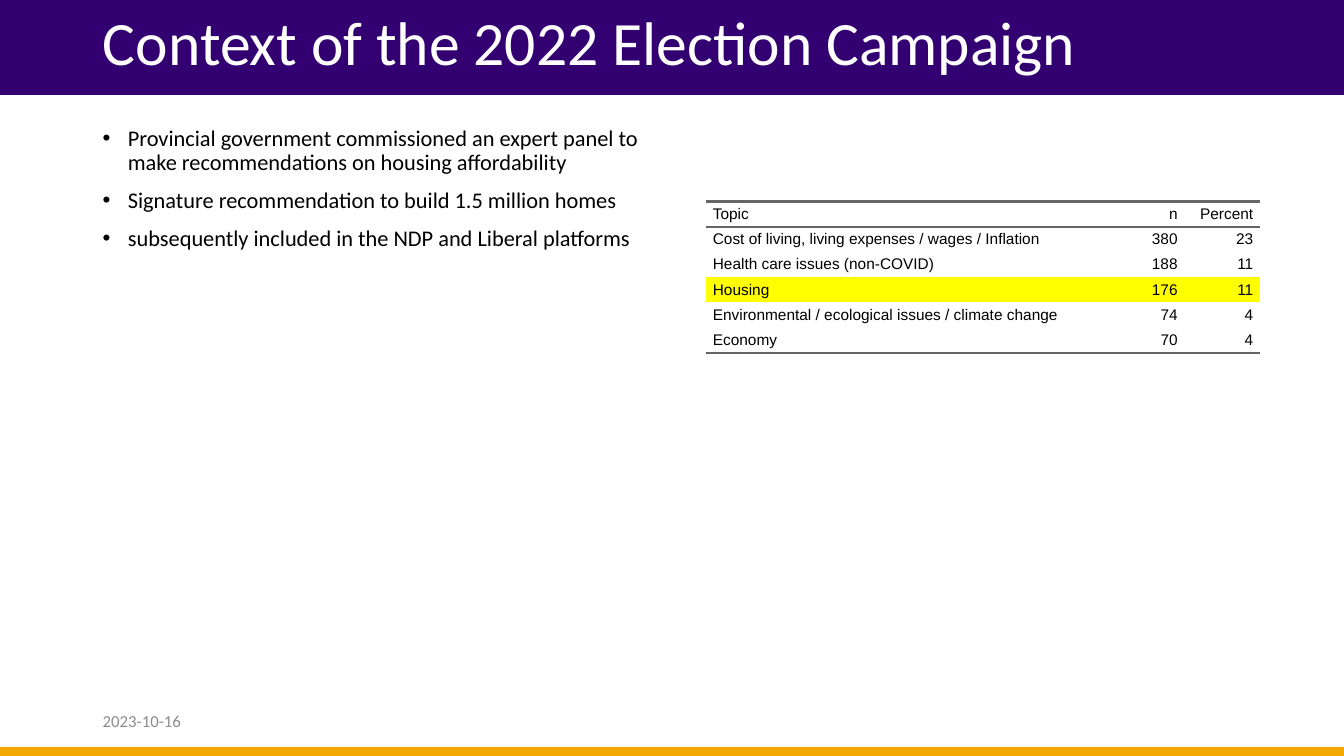
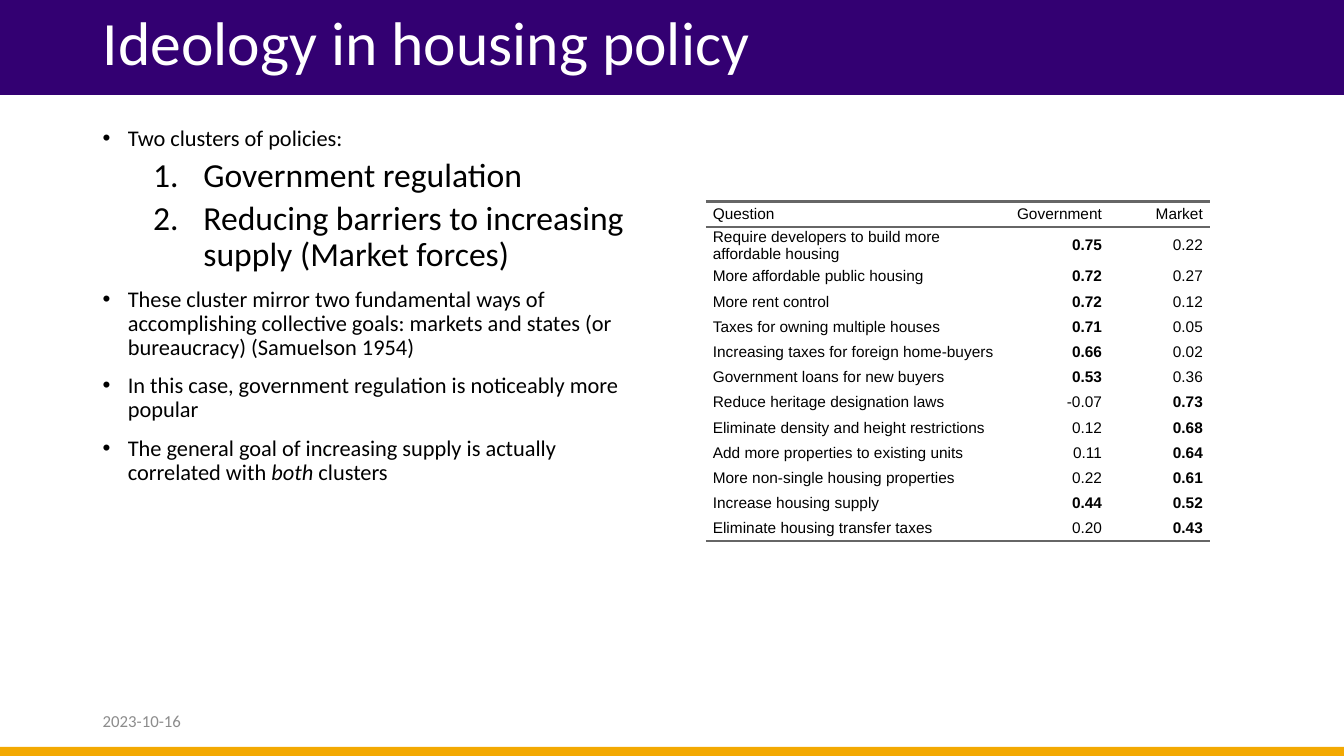
from lxml.etree import SubElement
from pptx import Presentation
from pptx.dml.color import RGBColor
from pptx.enum.shapes import MSO_SHAPE as Shape
from pptx.enum.text import MSO_ANCHOR as Anchor, MSO_AUTO_SIZE as AutoSize, PP_ALIGN as Align
from pptx.oxml import parse_xml
from pptx.oxml.ns import nsdecls, qn
from pptx.util import Inches, Pt

PURPLE = RGBColor(0x33, 0x00, 0x72)
GOLD = RGBColor(0xF3, 0xA9, 0x02)
WHITE = RGBColor(0xFF, 0xFF, 0xFF)
BLACK = RGBColor(0x00, 0x00, 0x00)
GRAY = RGBColor(0x8C, 0x8C, 0x8C)
RULE_GRAY = RGBColor(0x66, 0x66, 0x66)
YELLOW = RGBColor(0xFF, 0xFF, 0x00)

TITLE_ONLY = 5
PLAIN_TABLE = "{2D5ABB26-0587-4C30-8999-92F81FD0307C}"
MARGIN = Inches(0.92)


class LectureDeck:
    body_font = "Calibri"
    table_font = "Arial"
    date = "2023-10-16"

    def __init__(self):
        self.deck = Presentation()
        self.deck.slide_width = Inches(13.33)
        self.deck.slide_height = Inches(7.5)
        self.page = None

    def start_page(self, title):
        self.page = self.deck.slides.add_slide(self.deck.slide_layouts[TITLE_ONLY])
        self.band(0, 0.94, PURPLE, outlined=True)
        self.band(7.41, 0.09, GOLD)
        self.title(title)
        self.footer()

    def style(self, para, size, color, name=body_font):
        para.font.name = name
        para.font.size = Pt(size)
        para.font.color.rgb = color

    def band(self, top, height, color, outlined=False):
        band = self.page.shapes.add_shape(
            Shape.RECTANGLE, 0, Inches(top), self.deck.slide_width, Inches(height))
        band.shadow.inherit = False
        band.fill.solid()
        band.fill.fore_color.rgb = color
        if outlined:
            band.line.color.rgb = color
            band.line.width = Pt(1)
        else:
            band.line.fill.background()

    def title(self, text):
        box = self.page.shapes.title
        box.left, box.top = MARGIN, Inches(-0.11)
        box.width, box.height = Inches(11.5), Inches(1.12)
        self.page.shapes._spTree.append(box._element)
        frame = box.text_frame
        frame.text = text
        frame.auto_size = AutoSize.NONE
        frame.vertical_anchor = Anchor.MIDDLE
        para = frame.paragraphs[0]
        para.alignment = Align.LEFT
        para.line_spacing = 0.9
        self.style(para, 44, WHITE)

    def text_box(self, top, width, height):
        box = self.page.shapes.add_textbox(MARGIN, Inches(top), Inches(width), Inches(height))
        box.text_frame.word_wrap = True
        return box.text_frame

    def footer(self):
        frame = self.text_box(6.95, 3, 0.4)
        frame.vertical_anchor = Anchor.MIDDLE
        frame.text = self.date
        self.style(frame.paragraphs[0], 12, GRAY)

    def body(self, items):
        frame = self.text_box(1.21, 5.67, 5.55)
        for index, item in enumerate(items):
            para = frame.paragraphs[0] if index == 0 else frame.add_paragraph()
            numbered = item.startswith("#")
            for part, text in enumerate(item.lstrip("#").split("*")):
                span = para.add_run()
                span.text = text
                if part % 2:
                    span.font.italic = True
            self.mark(para, numbered)
            para.line_spacing = 0.9
            para.space_before = Pt(5 if numbered else 10)
            self.style(para, 24 if numbered else 16, BLACK)

    def mark(self, para, numbered):
        props = para._p.get_or_add_pPr()
        left, hanging = (1, 0.5) if numbered else (0.25, 0.25)
        props.set("marL", str(Inches(left)))
        props.set("indent", str(-Inches(hanging)))
        if numbered:
            para.level = 1
            SubElement(props, qn("a:buFont"), typeface="+mj-lt")
            SubElement(props, qn("a:buAutoNum"), type="arabicPeriod")
        else:
            SubElement(props, qn("a:buFont"), typeface="Arial")
            SubElement(props, qn("a:buChar"), char="•")

    def table(self, widths, rows, highlight=None, bold_from=None):
        row_height = Inches(0.25)
        frame = self.page.shapes.add_table(
            len(rows), len(widths), Inches(7), Inches(2),
            Inches(sum(widths)), row_height * len(rows))
        table = frame.table
        table.first_row = table.horz_banding = False
        table._tbl.tblPr.find(qn("a:tableStyleId")).text = PLAIN_TABLE
        for column, width in zip(table.columns, widths):
            column.width = Inches(width)
        for r, row in enumerate(rows):
            table.rows[r].height = row_height
            sides = {0: "TB", len(rows) - 1: "B"}.get(r, "")
            for c, text in enumerate(row):
                cell = table.cell(r, c)
                self.cell(cell, text, c > 0, row[0] == highlight, sides)
                if bold_from and r and c:
                    cell.text_frame.paragraphs[0].font.bold = float(text) >= bold_from

    def cell(self, cell, text, is_number, highlighted, sides):
        cell.margin_left = cell.margin_right = Inches(0.07)
        cell.margin_top = cell.margin_bottom = 0
        cell.vertical_anchor = Anchor.MIDDLE
        cell.text = text
        para = cell.text_frame.paragraphs[0]
        para.alignment = Align.RIGHT if is_number else Align.LEFT
        self.style(para, 11, BLACK, self.table_font)
        if highlighted:
            cell.fill.solid()
            cell.fill.fore_color.rgb = YELLOW
        else:
            cell.fill.background()
        for place, side in enumerate(sides):
            rule = parse_xml(
                f'<a:ln{side} {nsdecls("a")} w="{Pt(2)}"><a:solidFill>'
                f'<a:srgbClr val="{RULE_GRAY}"/></a:solidFill></a:ln{side}>')
            cell._tc.get_or_add_tcPr().insert(place, rule)


def main():
    lecture = LectureDeck()

    lecture.start_page("Context of the 2022 Election Campaign")
    lecture.body([
        "Provincial government commissioned an expert panel to make recommendations "
        "on housing affordability",
        "Signature recommendation to build 1.5 million homes",
        "subsequently included in the NDP and Liberal platforms",
    ])
    lecture.table([4, 0.75, 0.75], [
        ("Topic", "n", "Percent"),
        ("Cost of living, living expenses / wages / Inflation", "380", "23"),
        ("Health care issues (non-COVID)", "188", "11"),
        ("Housing", "176", "11"),
        ("Environmental / ecological issues / climate change", "74", "4"),
        ("Economy", "70", "4"),
    ], highlight="Housing")

    lecture.start_page("Ideology in housing policy")
    lecture.body([
        "Two clusters of policies:",
        "#Government regulation",
        "#Reducing barriers to increasing supply (Market forces)",
        "These cluster mirror two fundamental ways of accomplishing collective goals: "
        "markets and states (or bureaucracy) (Samuelson 1954)",
        "In this case, government regulation is noticeably more popular",
        "The general goal of increasing supply is actually correlated with *both* clusters",
    ])
    lecture.table([3, 1, 1], [
        ("Question", "Government", "Market"),
        ("Require developers to build more affordable housing", "0.75", "0.22"),
        ("More affordable public housing", "0.72", "0.27"),
        ("More rent control", "0.72", "0.12"),
        ("Taxes for owning multiple houses", "0.71", "0.05"),
        ("Increasing taxes for foreign home-buyers", "0.66", "0.02"),
        ("Government loans for new buyers", "0.53", "0.36"),
        ("Reduce heritage designation laws", "-0.07", "0.73"),
        ("Eliminate density and height restrictions", "0.12", "0.68"),
        ("Add more properties to existing units", "0.11", "0.64"),
        ("More non-single housing properties", "0.22", "0.61"),
        ("Increase housing supply", "0.44", "0.52"),
        ("Eliminate housing transfer taxes", "0.20", "0.43"),
    ], bold_from=0.4)

    lecture.deck.save("out.pptx")


if __name__ == "__main__":
    main()
